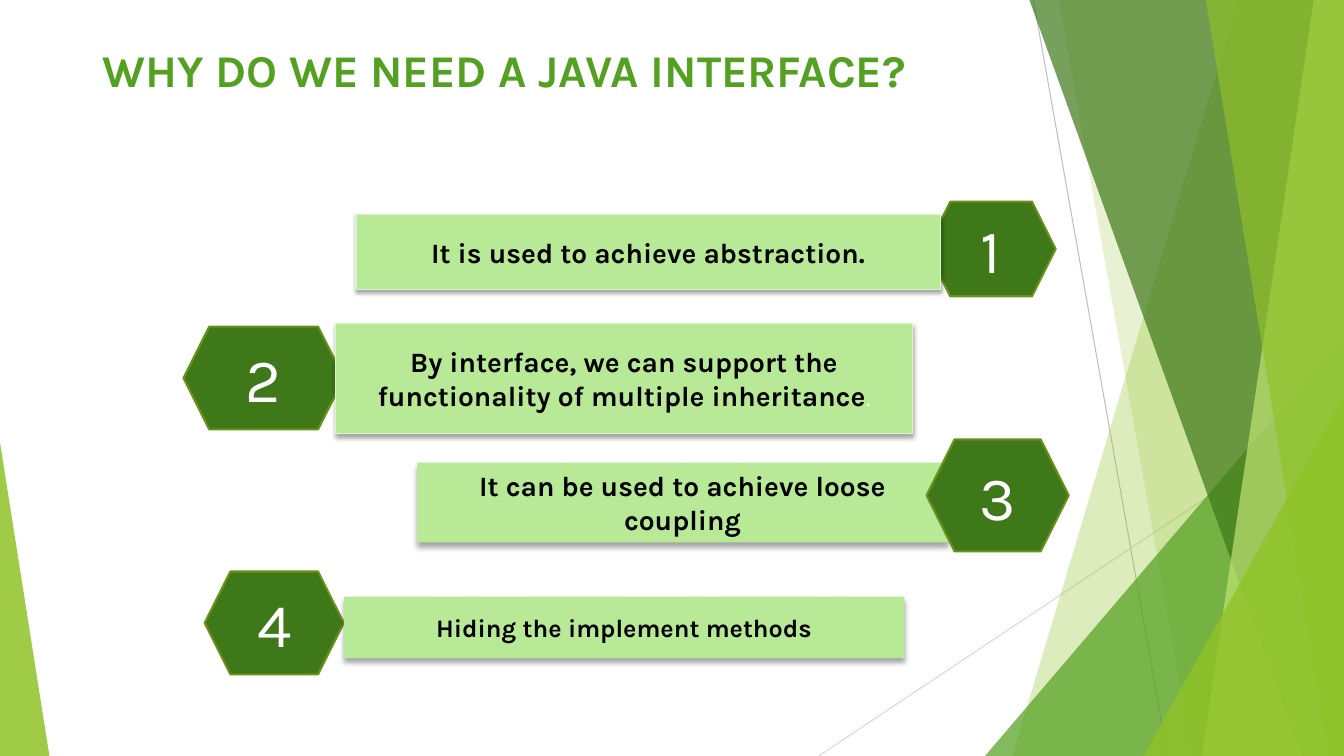
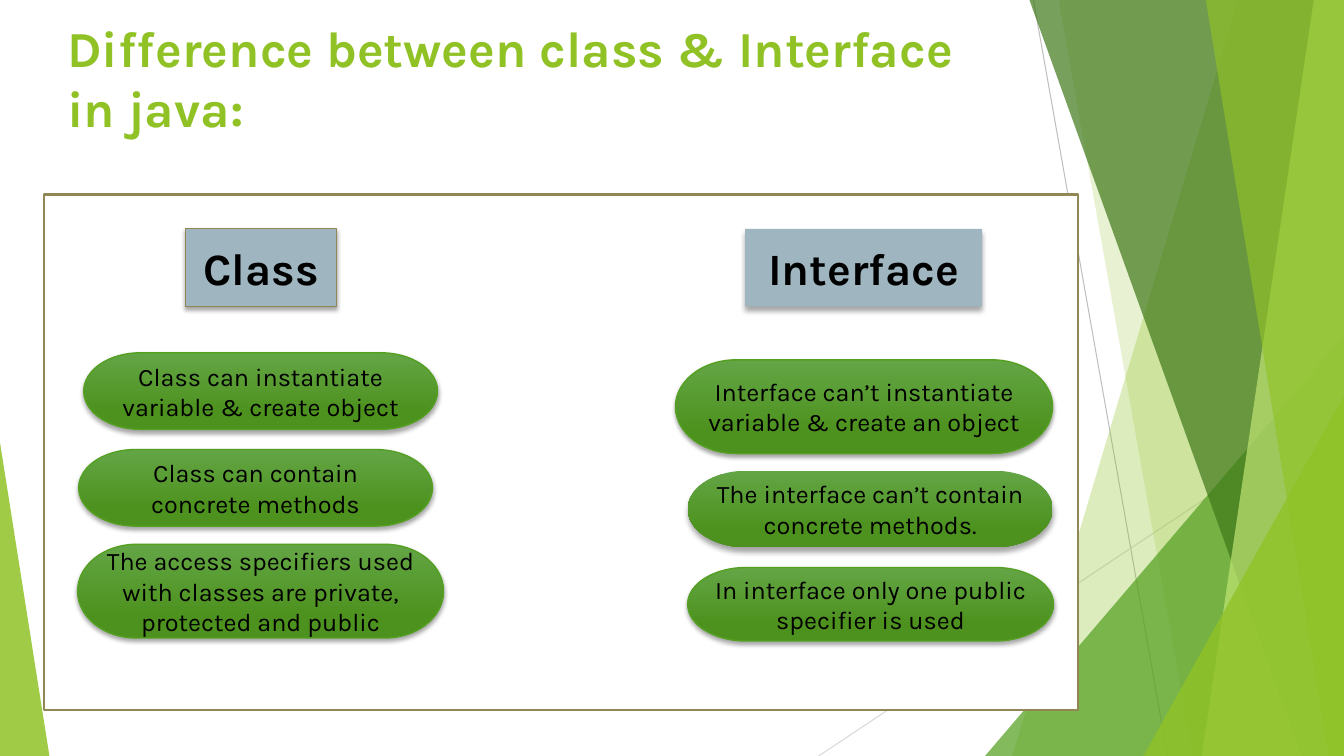
import pptx
import pptx.util
import pptx.dml.color
import pptx.enum.shapes
import pptx.enum.text
import pptx.oxml
import pptx.oxml.ns

Inches = pptx.util.Inches
Pt = pptx.util.Pt
Kind = pptx.enum.shapes.MSO_SHAPE
Align = pptx.enum.text.PP_ALIGN
Anchor = pptx.enum.text.MSO_ANCHOR
qn = pptx.oxml.ns.qn

FONT = "Karla"
WIDE, HIGH = 13.33, 7.5
WHITE, BLACK = "FFFFFF", "000000"
LIME, GREEN, DARK = "90C226", "54A021", "3F7819"
PALE, MINT, TAN, SLATE = "B7E996", "DBF4CA", "918655", "9FB6C0"
NEAR, FAR = (3, 2), (4, 3)


def rgb(code):
    return pptx.dml.color.RGBColor.from_string(code)


def child(parent, tag, **values):
    node = parent.makeelement(qn(tag), {k: str(v) for k, v in values.items()})
    parent.append(node)
    return node


def paint(shape, fill, edge=None, weight=1, alpha=100):
    if isinstance(fill, tuple):
        shape.fill.gradient()
        shape.fill.gradient_angle = 270
        for stop, (place, code) in zip(shape.fill.gradient_stops, fill):
            stop.position = place
            stop.color.rgb = rgb(code)
    else:
        shape.fill.solid()
        shape.fill.fore_color.rgb = rgb(fill)
    if alpha < 100:
        tint = next(shape.element.spPr.iter(qn("a:srgbClr")))
        child(tint, "a:alpha", val=alpha * 1000)
    if edge:
        shape.line.color.rgb = rgb(edge)
        shape.line.width = Pt(weight)
    else:
        shape.line.fill.background()
    shape.shadow.inherit = False


def shade(shape, size):
    blur, drop = size
    list_node = shape.element.spPr.find(qn("a:effectLst"))
    cast = child(list_node, "a:outerShdw", blurRad=Pt(blur), dist=Pt(drop),
                 dir=5400000, algn="ctr", rotWithShape=0)
    tint = child(cast, "a:srgbClr", val=BLACK)
    child(tint, "a:alpha", val=35000)


def style(run, size, code, bold):
    run.font.name = FONT
    run.font.size = Pt(size)
    run.font.bold = bold
    run.font.color.rgb = rgb(code)


def write(shape, text, size, code=BLACK, bold=False, align=Align.CENTER, anchor=Anchor.MIDDLE):
    frame = shape.text_frame
    frame.word_wrap = True
    frame.vertical_anchor = anchor
    frame.text = text
    line = frame.paragraphs[0]
    line.alignment = align
    style(line.runs[0], size, code, bold)
    return line


def block(slide, kind, box, fill, edge=None, weight=1, alpha=100):
    shape = slide.shapes.add_shape(kind, *map(Inches, box))
    paint(shape, fill, edge, weight, alpha)
    return shape


def title(slide, box, text, size, code):
    shape = slide.shapes.add_textbox(*map(Inches, box))
    write(shape, text, size, code, True, Align.LEFT, Anchor.TOP)


def ray(slide, start, end, code):
    line = slide.shapes.add_connector(
        pptx.enum.shapes.MSO_CONNECTOR.STRAIGHT, *map(Inches, start + end))
    line.line.color.rgb = rgb(code)
    line.line.width = Pt(0.75)
    child(line.element.spPr, "a:effectLst")


def shard(slide, top, base, code, alpha):
    pen = slide.shapes.build_freeform(Inches(top), 0)
    edges = [(WIDE, 0), (WIDE, HIGH), (base, HIGH)]
    pen.add_line_segments([(Inches(x), Inches(y)) for x, y in edges])
    paint(pen.convert_to_shape(), code, alpha=alpha)


def peak(slide, left, top, width, tip, code, alpha):
    box = (left, top, width, HIGH - top)
    shape = block(slide, Kind.ISOSCELES_TRIANGLE, box, code, alpha=alpha)
    shape.adjustments[0] = tip


def scene(slide):
    ray(slide, (10.25, 0), (11.58, HIGH), "BFBFBF")
    ray(slide, (WIDE, 4.03), (8.12, HIGH), "D9D9D9")
    shard(slide, 12.28, 10.04, LIME, 30)
    shard(slide, 10.5, 11.83, LIME, 20)
    peak(slide, 9.77, 3.33, 3.56, 1, GREEN, 72)
    shard(slide, 10.21, 12.91, DARK, 70)
    shard(slide, 13.03, 11.92, "C0E474", 70)
    shard(slide, 11.96, 13.18, LIME, 65)
    peak(slide, 11.34, 3.93, 1.99, 1, LIME, 80)
    peak(slide, 0, 4.39, 0.49, 0, LIME, 85)


def share(slide):
    layout = slide.slide_layout
    for holder in list(layout.placeholders):
        layout.shapes.element.remove(holder.element)
    scene(slide)
    for shape in list(slide.shapes):
        layout.shapes.element.append(shape.element)


def badge(slide, box, text):
    shape = block(slide, Kind.HEXAGON, box, DARK, "6B901C", 1.5)
    write(shape, text, 44, WHITE)


def bar(slide, box, text, size=20, edge=None):
    shape = block(slide, Kind.RECTANGLE, box, PALE, edge)
    shade(shape, NEAR if edge else FAR)
    return write(shape, text, size, bold=True)


def head(slide, box, text, edge=None):
    shape = block(slide, Kind.RECTANGLE, box, SLATE, edge)
    shade(shape, NEAR if edge else FAR)
    write(shape, text, 32, bold=True)


def pill(slide, box, text, edge=GREEN):
    fill = ((0, "63A545"), (0.78, "4D921E"))
    shape = block(slide, Kind.FLOWCHART_TERMINATOR, box, fill, edge)
    shade(shape, NEAR if edge else FAR)
    write(shape, text, 18)


def reasons(slide):
    title(slide, (0.92, 0.37, 11.5, 1.15), "WHY DO WE NEED A JAVA INTERFACE?", 32.4, GREEN)
    badge(slide, (9.19, 2, 1.28, 0.94), "1")
    badge(slide, (1.82, 3.24, 1.59, 1.02), "2")
    bar(slide, (4.14, 4.59, 5.26, 0.79), "It can be used to achieve loose coupling")
    bar(slide, (3.53, 2.13, 5.8, 0.74), "It is used to achieve abstraction.", edge=MINT)
    line = bar(slide, (3.33, 3.21, 5.72, 1.09),
               "By interface, we can support the functionality of multiple inheritance", edge=MINT)
    stop = line.add_run()
    stop.text = "."
    style(stop, 18, WHITE, False)
    badge(slide, (9.19, 4.36, 1.41, 1.11), "3")
    badge(slide, (2.03, 5.67, 1.38, 1.02), "4")
    bar(slide, (3.41, 5.92, 5.56, 0.61), "Hiding the implement methods", 18)


def contrast(slide):
    title(slide, (0.57, 0.12, 9.4, 1.44),
          "Difference between class & Interface in java:", 36, LIME)
    block(slide, Kind.RECTANGLE, (0.44, 1.93, 10.25, 5.11), WHITE, TAN, 1.5)
    head(slide, (1.84, 2.27, 1.5, 0.77), "Class", TAN)
    head(slide, (7.39, 2.27, 2.35, 0.77), "Interface")
    pills = [
        ((0.83, 3.5, 3.51, 0.76), "Class can instantiate variable & create object", GREEN),
        ((0.78, 4.46, 3.51, 0.76), "Class can contain concrete methods", GREEN),
        ((0.77, 5.4, 3.63, 0.93),
         "The access specifiers used with classes are private, protected and public", GREEN),
        ((6.7, 3.57, 3.74, 0.93),
         "Interface can’t instantiate variable & create an object", GREEN),
        ((6.82, 4.67, 3.62, 0.76), "The interface can’t contain concrete methods.", None),
        ((6.82, 5.63, 3.63, 0.73), "In interface only one public specifier is used", GREEN),
    ]
    for box, text, edge in pills:
        pill(slide, box, text, edge)


def main():
    deck = pptx.Presentation()
    deck.slide_width, deck.slide_height = Inches(WIDE), Inches(HIGH)
    blank = deck.slide_layouts[6]
    first, second = [deck.slides.add_slide(blank) for _ in range(2)]
    share(first)
    reasons(first)
    contrast(second)
    deck.save("out.pptx")


if __name__ == "__main__":
    main()
